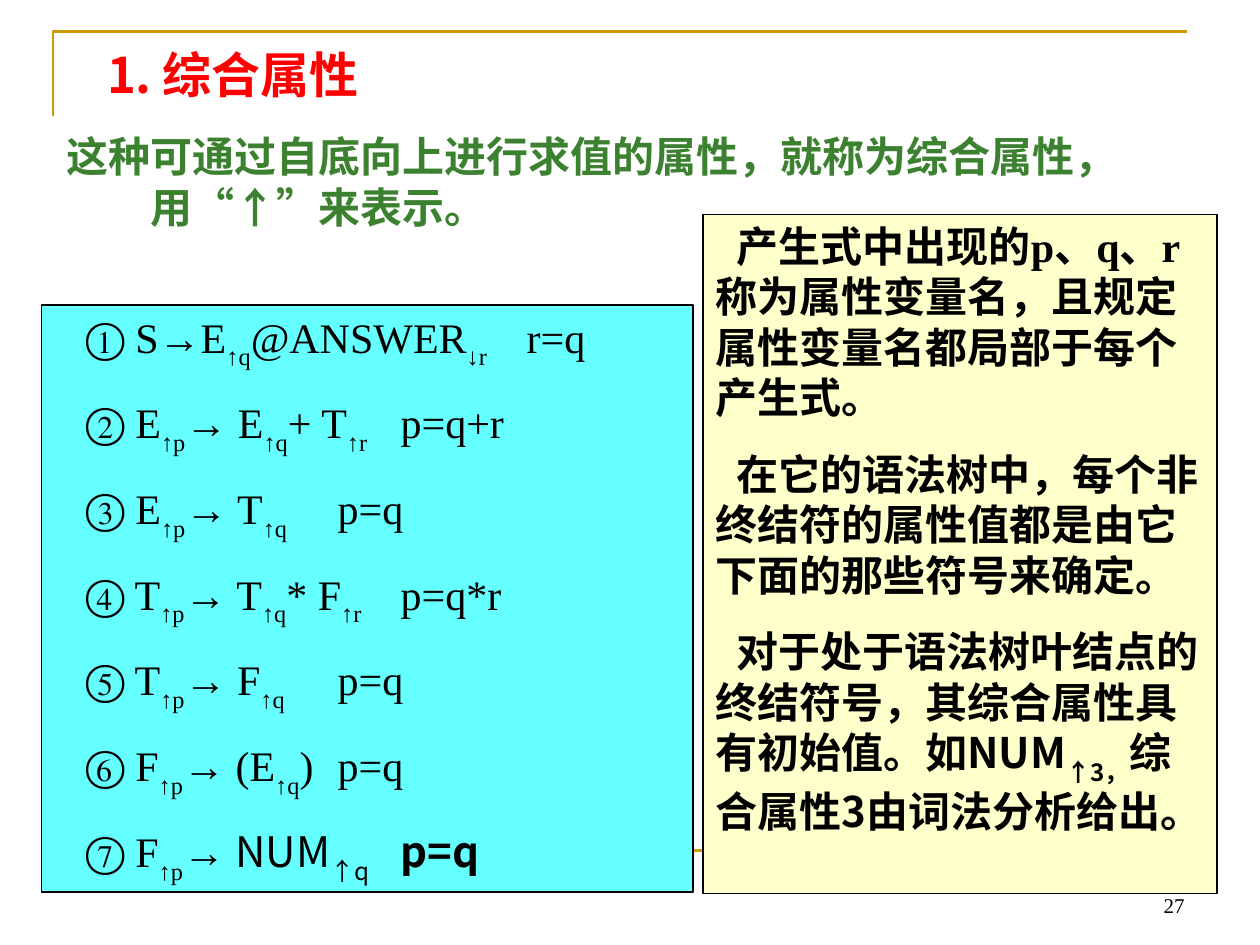
import lxml.etree
import pptx
import pptx.dml.color
import pptx.enum.shapes
import pptx.enum.text
import pptx.oxml.ns
import pptx.util

Inches = pptx.util.Inches
Pt = pptx.util.Pt
qn = pptx.oxml.ns.qn
SERIF = "Times New Roman"
SANS = "Noto Sans CJK SC"
BLACK = "000000"
GOLD = "CC9900"

RULES = [
    ("① S→E|↑q|@ANSWER|↓r|\tr=q", 3.75),
    ("② E|↑p|→ E|↑q|+ T|↑r|\tp=q+r", 3.75),
    ("③ E|↑p|→ T|↑q|\tp=q", 2.75),
    ("④ T|↑p|→ T|↑q|* F|↑r|\tp=q*r", 3.75),
    ("⑤ T|↑p|→ F|↑q|\tp=q", 3.75),
    ("⑥ F|↑p|→ (E|↑q|)\tp=q", 3.75),
]
NOTES = [
    ("产生式中出现的p、q、r称为属性变量名，且规定属性变量名都局部于每个产生式。", SERIF),
    ("在它的语法树中，每个非终结符的属性值都是由它下面的那些符号来确定。", SANS),
    ("对于处于语法树叶结点的终结符号，其综合属性具有初始值。如NUM|↑3，|综合属性3由词法分析给出。", SANS),
]


def rgb(color):
    return pptx.dml.color.RGBColor.from_string(color)


def style_line(shape, color, width):
    shape.line.color.rgb = rgb(color)
    shape.line.width = Pt(width)


def place(shape, left, top, width, height):
    shape.left, shape.top = Inches(left), Inches(top)
    shape.width, shape.height = Inches(width), Inches(height)


def set_frame(shape, anchor=pptx.enum.text.MSO_ANCHOR.TOP):
    frame = shape.text_frame
    frame.word_wrap = True
    frame.auto_size = pptx.enum.text.MSO_AUTO_SIZE.NONE
    frame.vertical_anchor = anchor
    return frame


def add_runs(paragraph, markup, font=None, bold=None):
    for index, text in enumerate(markup.split("|")):
        run = paragraph.add_run()
        run.text = text
        if font:
            run.font.name = font
        if bold:
            run.font.bold = True
        if index % 2:
            run.font._rPr.set("baseline", "-30000")


def add_paragraph(frame, markup, size=24, color=BLACK, font=SERIF, bold=False,
                  space=0, margin=0, indent=0, tabs=()):
    first = not frame.paragraphs[0].runs
    paragraph = frame.paragraphs[0] if first else frame.add_paragraph()
    paragraph.alignment = pptx.enum.text.PP_ALIGN.LEFT
    paragraph.space_before = Pt(0 if first else space)
    properties = paragraph._p.get_or_add_pPr()
    properties.set("marL", str(Inches(margin)))
    properties.set("indent", str(Inches(indent)))
    if tabs:
        tab_list = lxml.etree.SubElement(properties, qn("a:tabLst"))
        for position in tabs:
            lxml.etree.SubElement(tab_list, qn("a:tab"), pos=str(Inches(position)), algn="l")
    paragraph.font.size = Pt(size)
    paragraph.font.bold = bold
    paragraph.font.color.rgb = rgb(color)
    paragraph.font.name = font
    lxml.etree.SubElement(paragraph.font._rPr, qn("a:ea"), typeface=SANS)
    add_runs(paragraph, markup)
    return paragraph


def add_frame_lines(slide):
    builder = slide.shapes.build_freeform(Inches(0.42), Inches(0.92))
    builder.add_line_segments(
        [(Inches(0.42), Inches(0.25)), (Inches(9.42), Inches(0.25))], close=False)
    corner = builder.convert_to_shape()
    corner.shadow.inherit = False
    corner.fill.background()
    style_line(corner, GOLD, 1.5)
    rule = slide.shapes.add_connector(
        pptx.enum.shapes.MSO_CONNECTOR.STRAIGHT,
        Inches(0.5), Inches(6.75), Inches(9.5), Inches(6.75))
    style_line(rule, GOLD, 1.5)
    lxml.etree.SubElement(rule._element.spPr, qn("a:effectLst"))


def add_panel(slide, left, top, width, height, color):
    shape = slide.shapes.add_shape(
        pptx.enum.shapes.MSO_SHAPE.RECTANGLE,
        Inches(left), Inches(top), Inches(width), Inches(height))
    shape.shadow.inherit = False
    shape.fill.solid()
    shape.fill.fore_color.rgb = rgb(color)
    style_line(shape, BLACK, 0.75)
    return set_frame(shape)


def add_text_box(slide, left, top, width, height, anchor=pptx.enum.text.MSO_ANCHOR.TOP):
    shape = slide.shapes.add_textbox(Inches(left), Inches(top), Inches(width), Inches(height))
    return set_frame(shape, anchor)


def add_title(slide):
    title = slide.shapes.title
    place(title, 0.75, 0.34, 8.5, 0.5)
    frame = set_frame(title, pptx.enum.text.MSO_ANCHOR.MIDDLE)
    add_paragraph(frame, "1. 综合属性", 28, "FF0000", SANS, True)


def add_rules(slide):
    frame = add_panel(slide, 0.33, 2.42, 5.17, 4.66, "66FFFF")
    frame.margin_left = Inches(0.35)
    for markup, tab in RULES:
        add_paragraph(frame, markup, space=15, tabs=[tab])
    last = add_paragraph(frame, "⑦ F|↑p|→ ", space=15, tabs=[2.87])
    add_runs(last, "NUM|↑q", SANS)
    add_runs(last, "\tp=q", SANS, True)


def add_notes_panel(slide):
    frame = add_panel(slide, 5.58, 1.7, 4.08, 5.39, "FFFFCC")
    for markup, font in NOTES:
        add_paragraph(frame, markup, font=font, bold=True, space=15, indent=0.17)


def add_definition(slide):
    frame = add_text_box(slide, 0.43, 0.99, 9.24, 0.9)
    green = "3B812F"
    add_paragraph(frame, "这种可通过自底向上进行求值的属性，就称为综合属性，", color=green, bold=True)
    add_paragraph(frame, "用“↑”来表示。", color=green, bold=True, margin=0.67)


def add_page_number(slide):
    frame = add_text_box(slide, 7.17, 6.83, 2.33, 0.5, pptx.enum.text.MSO_ANCHOR.BOTTOM)
    paragraph = add_paragraph(frame, "27", 12)
    paragraph.alignment = pptx.enum.text.PP_ALIGN.RIGHT


def main():
    presentation = pptx.Presentation()
    presentation.slide_width = Inches(10)
    presentation.slide_height = Inches(7.5)
    slide = presentation.slides.add_slide(presentation.slide_layouts[5])
    add_frame_lines(slide)
    add_page_number(slide)
    add_title(slide)
    add_rules(slide)
    add_notes_panel(slide)
    add_definition(slide)
    presentation.save("out.pptx")


if __name__ == "__main__":
    main()
